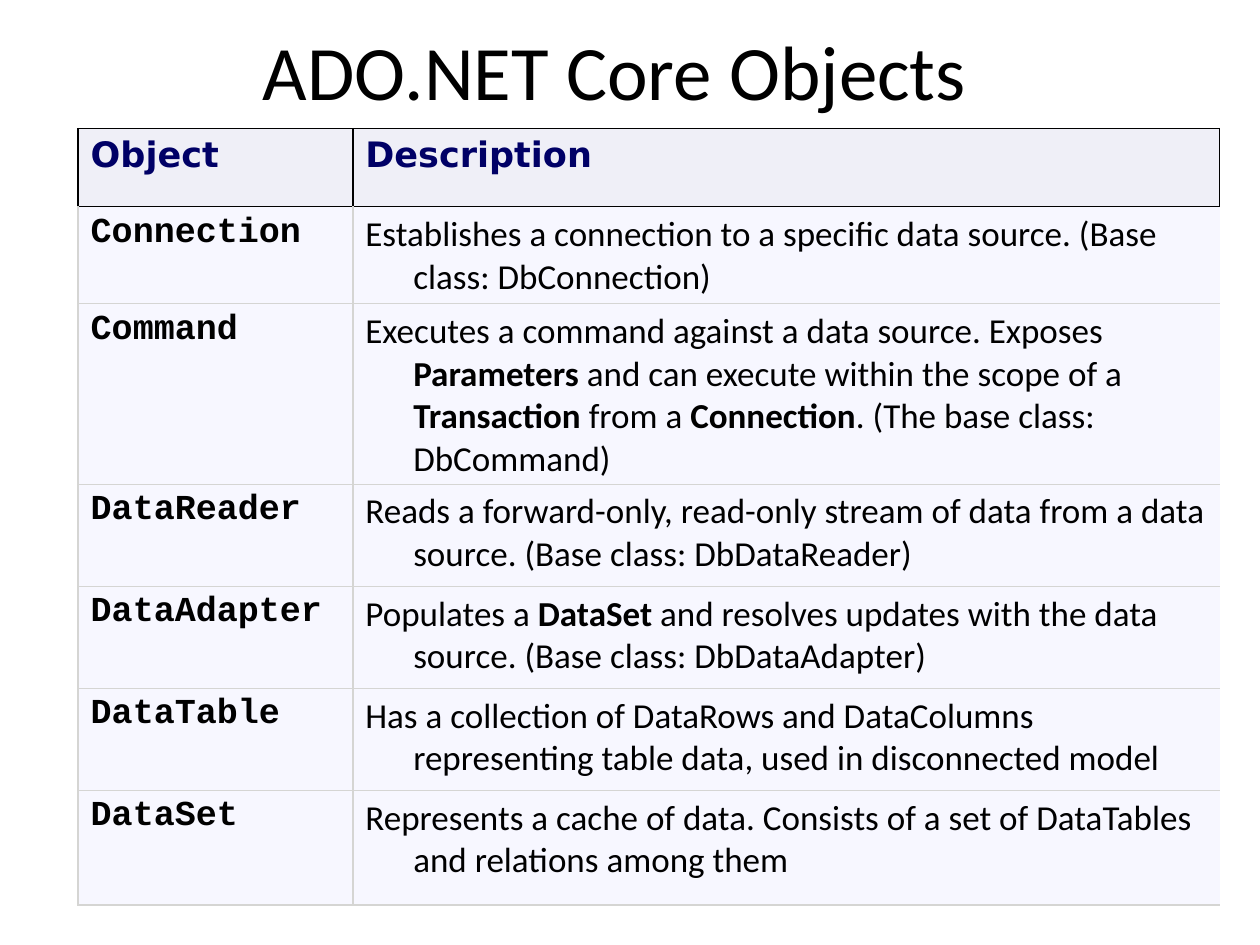
from lxml import etree
from pptx import Presentation
from pptx.dml.color import RGBColor
from pptx.enum.text import MSO_ANCHOR, PP_ALIGN
from pptx.oxml.ns import qn
from pptx.util import Inches, Pt

CENTER = PP_ALIGN.CENTER
MIDDLE = MSO_ANCHOR.MIDDLE

COLORS = {
    "text": "000000",
    "heading": "000066",
    "heading_fill": "EFEFF7",
    "body_fill": "F7F7FF",
    "heading_line": "000000",
    "body_line": "D5D5D3",
}

TITLE = "ADO.NET Core Objects"
HEADINGS = ("Object", "Description")
OBJECTS = [
    ("Connection", "Establishes a connection to a specific data source. "
                   "(Base class: DbConnection)"),
    ("Command", "Executes a command against a data source. Exposes **Parameters **"
                "and can execute within the scope of a **Transaction **from a "
                "**Connection**. (The base class: DbCommand)"),
    ("DataReader", "Reads a forward-only, read-only stream of data from a data source. "
                   "(Base class: DbDataReader)"),
    ("DataAdapter", "Populates a **DataSet** and resolves updates with the data source. "
                    "(Base class: DbDataAdapter)"),
    ("DataTable", "Has a collection of DataRows and DataColumns representing table data, "
                  "used in disconnected model"),
    ("DataSet", "Represents a cache of data. Consists of a set of DataTables "
                "and relations among them"),
]
COLUMN_WIDTHS = (2.18, 6.88)
ROW_HEIGHTS = (0.62, 0.77, 1.43, 0.81, 0.81, 0.81, 0.91)
HANGING_INDENT = 0.38


def style_font(font, name, size, color):
    font.name = name
    font.size = Pt(size)
    font.color.rgb = RGBColor.from_string(COLORS[color])


def add_marked_text(para, text):
    for index, part in enumerate(text.split("**")):
        if part:
            span = para.add_run()
            span.text = part
            span.font.bold = index % 2 == 1


def set_borders(cell, borders):
    properties = cell._tc.get_or_add_tcPr()
    for side in "LRTB":
        line = etree.SubElement(properties, qn(f"a:ln{side}"), w=str(Pt(1)))
        color = borders[side]
        if color is None:
            etree.SubElement(line, qn("a:noFill"))
        else:
            fill = etree.SubElement(line, qn("a:solidFill"))
            etree.SubElement(fill, qn("a:srgbClr"), val=COLORS[color])


def fill_cell(cell, text, font_name, color, background, borders):
    set_borders(cell, borders)
    cell.fill.solid()
    cell.fill.fore_color.rgb = RGBColor.from_string(COLORS[background])
    para = cell.text_frame.paragraphs[0]
    indent = Inches(HANGING_INDENT)
    paragraph_properties = para._p.get_or_add_pPr()
    paragraph_properties.set("marL", str(indent))
    paragraph_properties.set("indent", str(-indent))
    add_marked_text(para, text)
    for span in para.runs:
        style_font(span.font, font_name, 20, color)


def add_title(page):
    box = page.shapes.add_textbox(Inches(0.62), Inches(0.16), Inches(8.52), Inches(0.78))
    frame = box.text_frame
    frame.word_wrap = True
    frame.vertical_anchor = MIDDLE
    para = frame.paragraphs[0]
    para.text = TITLE
    para.alignment = CENTER
    style_font(para.font, "Calibri", 44, "text")


def add_object_table(page):
    table = page.shapes.add_table(
        len(ROW_HEIGHTS), len(COLUMN_WIDTHS), Inches(0.62), Inches(1.02),
        Inches(sum(COLUMN_WIDTHS)), Inches(sum(ROW_HEIGHTS))).table
    table.first_row = False
    table.horz_banding = False
    for column, width in zip(table.columns, COLUMN_WIDTHS):
        column.width = Inches(width)
    for row, height in zip(table.rows, ROW_HEIGHTS):
        row.height = Inches(height)

    heading_borders = dict.fromkeys("LRTB", "heading_line")
    for column, heading in enumerate(HEADINGS):
        fill_cell(table.cell(0, column), f"**{heading}**", "DejaVu Sans",
                  "heading", "heading_fill", heading_borders)

    for row, (name, description) in enumerate(OBJECTS, start=1):
        borders = dict.fromkeys("LRTB", "body_line")
        if row == 1:
            borders["T"] = "heading_line"
        fill_cell(table.cell(row, 0), f"**{name}**", "Courier New",
                  "text", "body_fill", borders)
        fill_cell(table.cell(row, 1), description, "Calibri",
                  "text", "body_fill", {**borders, "R": None})


def main():
    deck = Presentation()
    deck.slide_width = Inches(10)
    deck.slide_height = Inches(7.5)
    page = deck.slides.add_slide(deck.slide_layouts[6])
    add_title(page)
    add_object_table(page)
    deck.save("out.pptx")


if __name__ == "__main__":
    main()
